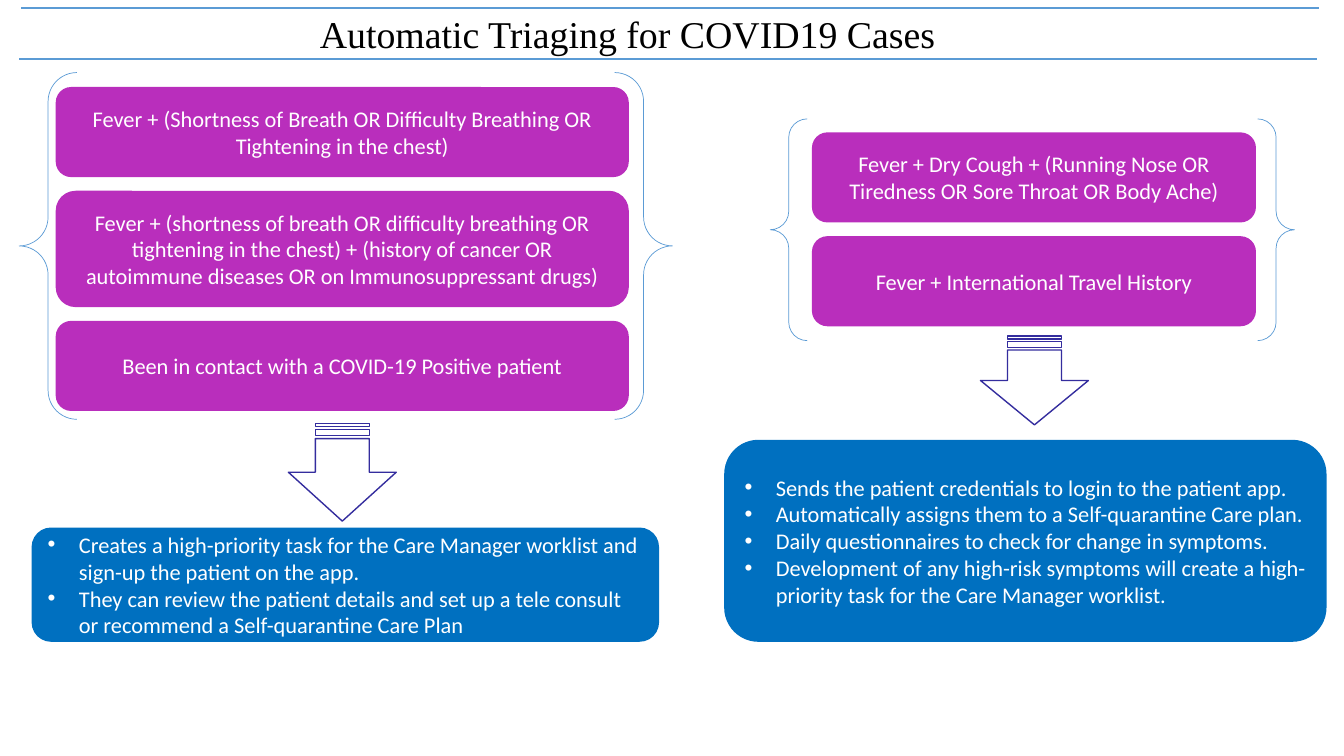
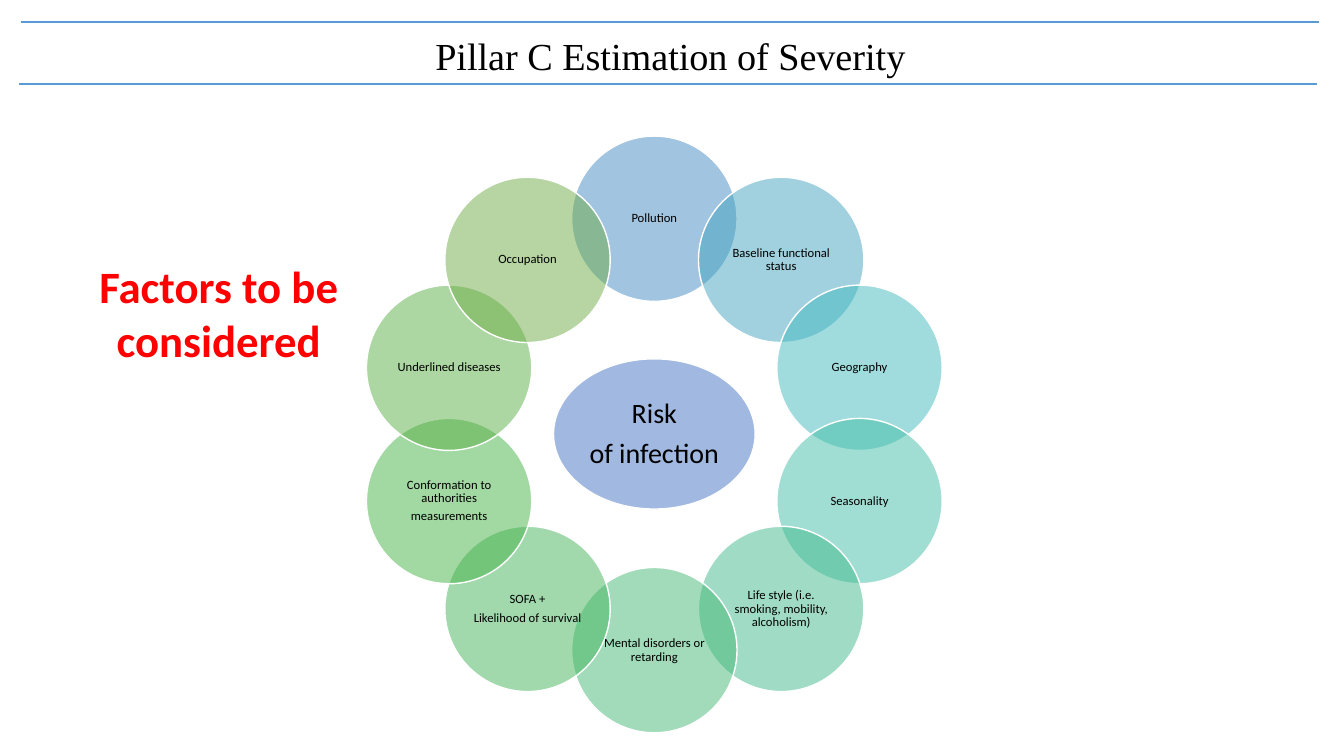
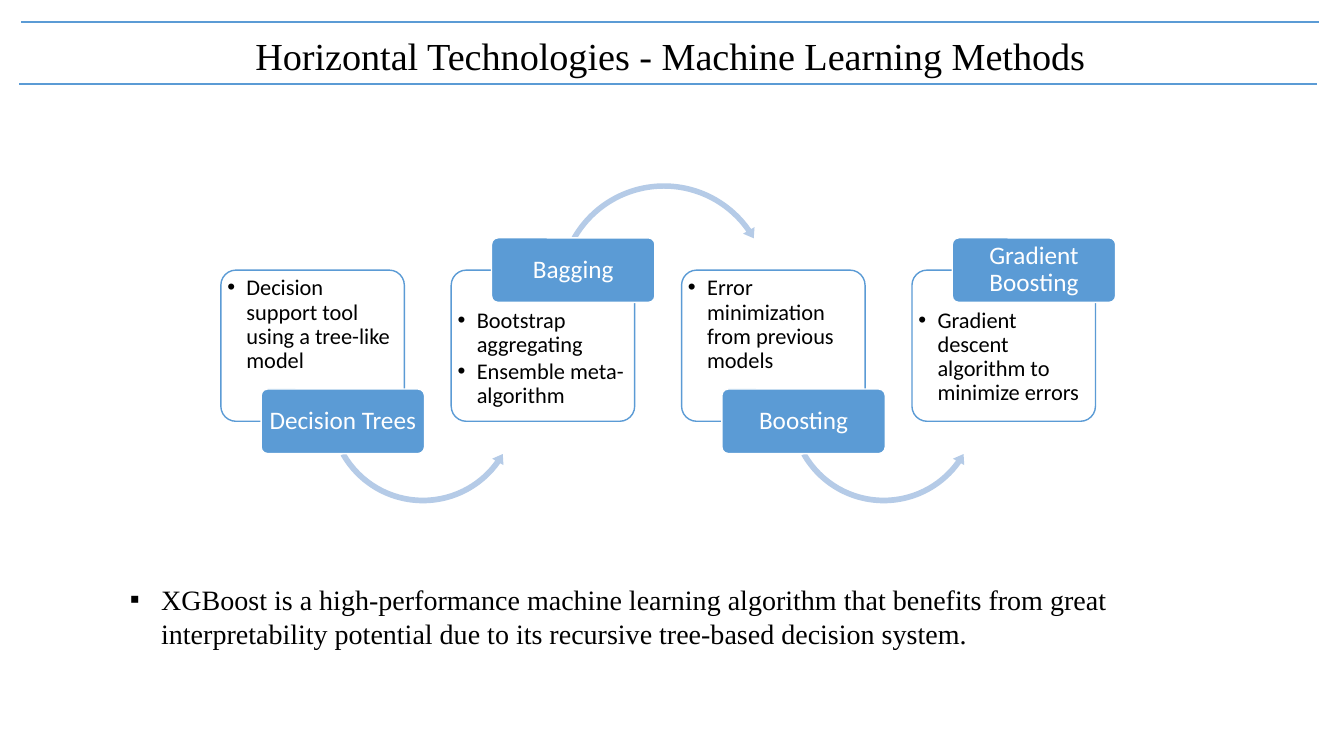
from math import cos, radians, sin

from lxml.etree import SubElement
from pptx import Presentation
from pptx.dml.color import RGBColor
from pptx.enum.shapes import MSO_CONNECTOR, MSO_SHAPE
from pptx.enum.text import MSO_ANCHOR, MSO_AUTO_SIZE, PP_ALIGN
from pptx.oxml.ns import qn
from pptx.util import Inches, Pt

COLORS = {
    "white": "FFFFFF", "black": "000000", "red": "FF0000", "rule": "5B9BD5",
    "symptom": "B92EBC", "action": "0070C0", "arrow": "342D9E",
    "core": "4472C4", "curve": "B5CBE7",
}


def margins(side, top, bottom):
    return {"margin_left": Inches(side), "margin_right": Inches(side),
            "margin_top": Inches(top), "margin_bottom": Inches(bottom)}


# Text styles: values for the frame, its paragraphs and its runs
MIDDLE = {"vertical_anchor": MSO_ANCHOR.MIDDLE}
TOP = {"vertical_anchor": MSO_ANCHOR.TOP}
CENTER = {"alignment": PP_ALIGN.CENTER}
LEFT = {"alignment": PP_ALIGN.LEFT}
STYLES = {
    "title": {
        "frame": {"auto_size": MSO_AUTO_SIZE.NONE},
        "paragraph": {**CENTER, "line_spacing": 1.2},
        "font": {"name": "Times New Roman", "size": Pt(27.3)}, "color": "black"},
    "symptom": {
        "frame": MIDDLE, "paragraph": CENTER,
        "font": {"name": "Calibri", "size": Pt(16)}, "color": "white"},
    "action": {
        "frame": MIDDLE, "paragraph": LEFT, "bullet": ("•", 0.31),
        "font": {"name": "Calibri", "size": Pt(16)}, "color": "white"},
    "callout": {
        "frame": TOP, "paragraph": CENTER,
        "font": {"name": "Calibri", "size": Pt(32), "bold": True}, "color": "red"},
    "core": {
        "frame": {**MIDDLE, **margins(0.03, 0.03, 0.03)},
        "paragraph": {**CENTER, "line_spacing": 0.9, "space_after": Pt(7)},
        "font": {"name": "Calibri", "size": Pt(20)}, "color": "black"},
    "factor": {
        "frame": {**MIDDLE, **margins(0.01, 0.01, 0.01)},
        "paragraph": {**CENTER, "line_spacing": 0.9, "space_after": Pt(3.15)},
        "font": {"name": "Calibri", "size": Pt(9)}, "color": "black"},
    "method": {
        "frame": {**MIDDLE, **margins(0.04, 0.03, 0.03)},
        "paragraph": {**CENTER, "line_spacing": 0.9, "space_after": Pt(6.3)},
        "font": {"name": "Calibri", "size": Pt(18)}, "color": "white"},
    "detail": {
        "frame": {**TOP, **margins(0.02, 0.02, 0.02)},
        "paragraph": {**LEFT, "line_spacing": 0.9, "space_after": Pt(2.4)},
        "bullet": ("•", 0.19),
        "font": {"name": "Calibri", "size": Pt(16)}, "color": "black"},
    "note": {
        "frame": TOP, "paragraph": LEFT, "bullet": ("▪", 0.31),
        "font": {"name": "Times New Roman", "size": Pt(20)}, "color": "black"},
}


def write(shape, lines, style_name):
    style = STYLES[style_name]
    frame = shape.text_frame
    frame.word_wrap = True
    for name, value in style["frame"].items():
        setattr(frame, name, value)
    for index, line in enumerate(lines):
        paragraph = frame.add_paragraph() if index else frame.paragraphs[0]
        if "bullet" in style:
            mark, indent = style["bullet"]
            properties = paragraph._p.get_or_add_pPr()
            properties.set("marL", str(Inches(indent)))
            properties.set("indent", str(-Inches(indent)))
            SubElement(properties, qn("a:buFont"), typeface="Arial")
            SubElement(properties, qn("a:buChar"), char=mark)
        for name, value in style["paragraph"].items():
            setattr(paragraph, name, value)
        run = paragraph.add_run()
        run.text = line
        for name, value in style["font"].items():
            setattr(run.font, name, value)
        run.font.color.rgb = RGBColor.from_string(COLORS[style["color"]])


def draw(slide, preset, at, fill=None, line=None, width=1, opacity=100, adjust=()):
    shape = slide.shapes.add_shape(preset, *map(Inches, at))
    shape.shadow.inherit = False
    for index, value in enumerate(adjust):
        shape.adjustments[index] = value
    if fill:
        shape.fill.solid()
        shape.fill.fore_color.rgb = RGBColor.from_string(COLORS.get(fill, fill))
        if opacity < 100:
            color = shape.element.spPr.find(qn("a:solidFill"))[0]
            SubElement(color, qn("a:alpha"), val=str(opacity * 1000))
    else:
        shape.fill.background()
    if line:
        shape.line.color.rgb = RGBColor.from_string(COLORS[line])
        shape.line.width = Pt(width)
    else:
        shape.line.fill.background()
    return shape


deck = Presentation()
deck.slide_width, deck.slide_height = Inches(13.33), Inches(7.5)

# Titles between two rules
HEADINGS = [
    ("Automatic Triaging for COVID19 Cases", (0.82, -0.03, 10.81, 0.62),
     MSO_ANCHOR.TOP, 0.08, 0.59),
    ("Pillar C Estimation of Severity", (0.22, 0.22, 12.86, 0.61),
     MSO_ANCHOR.BOTTOM, 0.22, 0.83),
    ("Horizontal Technologies - Machine Learning Methods", (0.22, 0.22, 12.86, 0.61),
     MSO_ANCHOR.BOTTOM, 0.22, 0.83),
]
for heading, at, anchor, upper, lower in HEADINGS:
    slide = deck.slides.add_slide(deck.slide_layouts[5])
    title = slide.shapes.title
    title.left, title.top, title.width, title.height = map(Inches, at)
    write(title, [heading], "title")
    title.text_frame.vertical_anchor = anchor
    for left, y in ((0.19, lower), (0.21, upper)):
        rule = slide.shapes.add_connector(
            MSO_CONNECTOR.STRAIGHT, Inches(left), Inches(y), Inches(left + 12.87), Inches(y))
        rule.line.color.rgb = RGBColor.from_string(COLORS["rule"])
        rule.line.width = Pt(1.5)
        SubElement(rule.element.spPr, qn("a:effectLst"))
triage, severity, methods = deck.slides
triage.shapes.title.text_frame.paragraphs[0].runs[0].font.size = Pt(27)

# Triage: symptoms in braces, an arrow, then the resulting actions
PATHWAYS = [
    {"left": 0.56, "width": 5.67, "top": 0.87,
     "symptoms": [
         (0.88, "Fever + (Shortness of Breath OR Difficulty Breathing OR Tightening in the chest)"),
         (1.14, "Fever + (shortness of breath OR difficulty breathing OR tightening in the chest) + "
                "(history of cancer OR autoimmune diseases OR on Immunosuppressant drugs)"),
         (0.88, "Been in contact with a COVID-19 Positive patient")],
     "braces": (0.19, 0.72, 6.48, 3.44), "arrow": (2.91, 4.15, 0.97, 1.07),
     "result": (0.32, 5.24, 6.21, 1.12),
     "actions": [
         "Creates a high-priority task for the Care Manager worklist and sign-up the patient on the app.",
         "They can review the patient details and set up a tele consult or recommend a "
         "Self-quarantine Care Plan"]},
    {"left": 8.06, "width": 4.39, "top": 1.32,
     "symptoms": [
         (0.88, "Fever + Dry Cough + (Running Nose OR Tiredness OR Sore Throat OR Body Ache)"),
         (0.88, "Fever + International Travel History")],
     "braces": (7.64, 1.18, 5.2, 2.2), "arrow": (9.82, 3.24, 0.88, 1.07),
     "result": (7.19, 4.37, 5.96, 1.99),
     "actions": [
         "Sends the patient credentials to login to the patient app.",
         "Automatically assigns them to a Self-quarantine Care plan.",
         "Daily questionnaires to check for change in symptoms.",
         "Development of any high-risk symptoms will create a high-priority task for the "
         "Care Manager worklist."]},
]
for pathway in PATHWAYS:
    top = pathway["top"]
    for height, text in pathway["symptoms"]:
        symptom = draw(triage, MSO_SHAPE.ROUNDED_RECTANGLE,
                       (pathway["left"], top, pathway["width"], height), "symptom", "symptom")
        write(symptom, [text], "symptom")
        top += height + 0.15
    draw(triage, MSO_SHAPE.DOUBLE_BRACE, pathway["braces"], line="rule", width=0.5)
    arrow = draw(triage, MSO_SHAPE.STRIPED_RIGHT_ARROW, pathway["arrow"], "white", "arrow")
    arrow.rotation = 90
    result = draw(triage, MSO_SHAPE.ROUNDED_RECTANGLE, pathway["result"], "action", "action")
    write(result, pathway["actions"], "action")

# Severity: a ring of factors around the risk
callout = severity.shapes.add_textbox(Inches(0.67), Inches(2.52), Inches(3), Inches(1.18))
write(callout, ["Factors to be considered"], "callout")
risk = draw(severity, MSO_SHAPE.OVAL, (5.49, 3.56, 2, 1.49), "core", "white", opacity=50)
write(risk, ["Risk", "of infection"], "core")

FACTORS = [
    ("448BC2", ["Pollution"]),
    ("44A3C0", ["Baseline functional status"]),
    ("43BBBF", ["Geography"]),
    ("43BDA7", ["Seasonality"]),
    ("43BB8D", ["Life style (i.e. smoking, mobility, alcoholism)"]),
    ("44B874", ["Mental disorders or retarding"]),
    ("45B55D", ["SOFA +", "Likelihood of survival"]),
    ("46B246", ["Conformation to authorities", "measurements"]),
    ("5BB046", ["Underlined diseases"]),
    ("70AD47", ["Occupation"]),
]
RING, DIAMETER = 2.14, 1.64
for index, (color, lines) in enumerate(FACTORS):
    angle = radians(index * 360 / len(FACTORS))
    left = 6.49 + RING * sin(angle) - DIAMETER / 2
    top = 4.31 - RING * cos(angle) - DIAMETER / 2
    factor = draw(severity, MSO_SHAPE.OVAL, (left, top, DIAMETER, DIAMETER),
                  color, "white", opacity=50)
    write(factor, lines, "factor")

# Methods: cards with name tags alternating below and above
STEPS = [
    ("Decision Trees", ["Decision support tool using a tree-like model"]),
    ("Bagging", ["Bootstrap aggregating", "Ensemble meta-algorithm"]),
    ("Boosting", ["Error minimization from previous models"]),
    ("Gradient Boosting", ["Gradient descent algorithm to minimize errors"]),
]
for index, (name, details) in enumerate(STEPS):
    left = 2.19 + 2.285 * index
    tag_above = index % 2 == 1
    card = draw(methods, MSO_SHAPE.ROUNDED_RECTANGLE, (left, 2.68, 1.82, 1.5),
                "white", "rule", opacity=90, adjust=[0.1])
    write(card, details, "detail")
    if tag_above:
        card.text_frame.margin_top = Inches(0.34)
    if index < len(STEPS) - 1:
        if tag_above:
            draw(methods, MSO_SHAPE.CIRCULAR_ARROW, (left + 1.02, 1.78, 2.18, 2.18), "curve",
                 adjust=[0.025, 3.09, 195.155, 125.755, 0.03])
        else:
            draw(methods, MSO_SHAPE.LEFT_CIRCULAR_ARROW, (left + 1.03, 3.08, 1.95, 1.95), "curve",
                 adjust=[0.029, 3.483, 21.238, 90.245, 0.033])
    tag = draw(methods, MSO_SHAPE.ROUNDED_RECTANGLE,
               (left + 0.4, 2.36 if tag_above else 3.86, 1.62, 0.64),
               "rule", "white", adjust=[0.1])
    write(tag, [name], "method")

note = methods.shapes.add_textbox(Inches(1.19), Inches(5.73), Inches(10.88), Inches(0.77))
write(note, ["XGBoost is a high-performance machine learning algorithm that benefits from great "
             "interpretability potential due to its recursive tree-based decision system."], "note")

deck.save("out.pptx")
